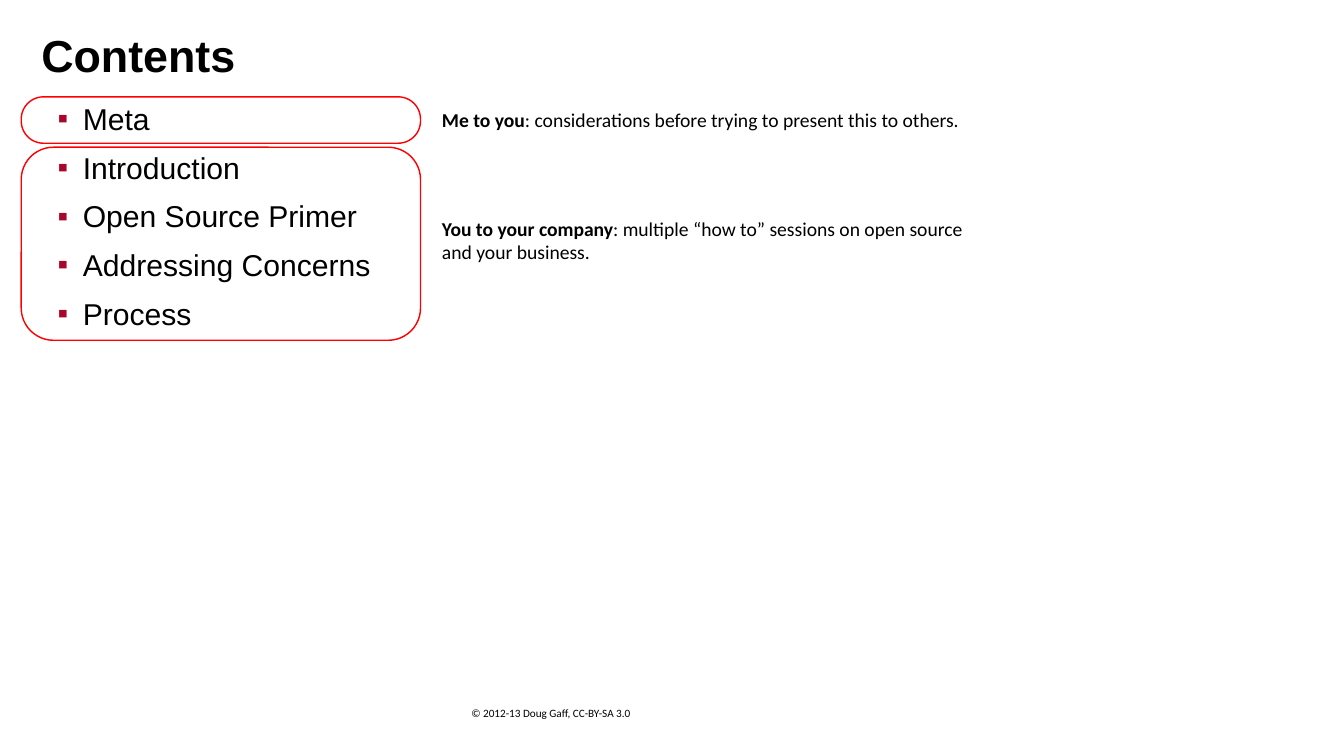
from typing import NamedTuple

from lxml.etree import SubElement
from pptx import Presentation
from pptx.dml.color import RGBColor
from pptx.enum.shapes import MSO_SHAPE as Kind
from pptx.enum.text import MSO_ANCHOR as Anchor, MSO_AUTO_SIZE as Fit, PP_ALIGN as Align
from pptx.oxml.ns import qn
from pptx.util import Cm, Pt

BLACK = RGBColor(0, 0, 0)
RED = RGBColor(0xFF, 0, 0)
WINE = RGBColor(0xAA, 0x06, 0x2B)

TOPICS = ["Meta", "Introduction", "Open Source Primer", "Addressing Concerns", "Process"]


class Box(NamedTuple):
    left: float
    top: float
    width: float
    height: float


class Group(NamedTuple):
    ring: Box
    bend: float
    note: Box
    lead: str
    rest: str


GROUPS = [
    Group(Box(1.07, 4.88, 20.12, 2.34), 0.48, Box(22.02, 5.31, 28.37, 2.64),
          "Me to you", ": considerations before trying to present this to others."),
    Group(Box(1.07, 7.42, 20.12, 9.73), 0.167, Box(22.02, 10.8, 28.37, 2.64),
          "You to your company",
          ": multiple “how to” sessions on open source and your business."),
]


def place(shape, box: Box) -> None:
    shape.left, shape.top, shape.width, shape.height = map(Cm, box)


def pad(frame, side: float, end: float) -> None:
    frame.margin_left = frame.margin_right = Cm(side)
    frame.margin_top = frame.margin_bottom = Cm(end)
    frame.word_wrap = True


def style(item, size: float, face: str, bold: bool = False) -> None:
    item.font.size = Pt(size)
    item.font.name = face
    item.font.bold = bold
    item.font.color.rgb = BLACK


def mark(para) -> None:
    props = para._p.get_or_add_pPr()
    props.set("marL", str(Cm(2.16)))
    props.set("indent", str(Cm(-1.27)))
    color = SubElement(props, qn("a:buClr"))
    SubElement(color, qn("a:srgbClr"), val=str(WINE))
    SubElement(props, qn("a:buChar"), char="▪")


def add_title(slide) -> None:
    title = slide.shapes.title
    place(title, Box(1.93, 0.46, 63.86, 4.6))
    frame = title.text_frame
    pad(frame, 0.15, 0.15)
    frame.auto_size = Fit.NONE
    frame.vertical_anchor = Anchor.MIDDLE
    frame.text = "Contents"
    para = frame.paragraphs[0]
    para.alignment = Align.LEFT
    style(para.runs[0], 64, "Arial", True)


def add_list(slide) -> None:
    body = slide.placeholders[1]
    place(body, Box(2.01, 5.05, 63.86, 33.05))
    frame = body.text_frame
    pad(frame, 0, 0)
    frame.auto_size = Fit.NONE
    frame.vertical_anchor = Anchor.TOP
    frame.text = "\n".join(TOPICS)
    for i, para in enumerate(frame.paragraphs):
        para.space_before = Pt(18 if i else 0)
        mark(para)
        style(para.runs[0], 43, "Arial")


def add_foot(slide) -> None:
    foot = slide.shapes.add_textbox(*map(Cm, Box(23.14, 35.31, 21.44, 2.03)))
    frame = foot.text_frame
    pad(frame, 0.61, 0.3)
    frame.text = "© 2012-13 Doug Gaff, CC-BY-SA 3.0"
    style(frame.paragraphs[0].runs[0], 16, "Calibri")


def add_ring(slide, group: Group) -> None:
    ring = slide.shapes.add_shape(Kind.ROUNDED_RECTANGLE, *map(Cm, group.ring))
    ring.adjustments[0] = group.bend
    ring.shadow.inherit = False
    ring.fill.background()
    ring.line.color.rgb = RED
    ring.line.width = Pt(2)


def add_note(slide, group: Group) -> None:
    note = slide.shapes.add_textbox(*map(Cm, group.note))
    frame = note.text_frame
    pad(frame, 0.25, 0.13)
    frame.auto_size = Fit.SHAPE_TO_FIT_TEXT
    for text, bold in ((group.lead, True), (group.rest, False)):
        run = frame.paragraphs[0].add_run()
        run.text = text
        style(run, 28, "Calibri", bold)


def main() -> None:
    deck = Presentation()
    deck.slide_width, deck.slide_height = Cm(67.72), Cm(38.1)
    slide = deck.slides.add_slide(deck.slide_layouts[1])
    add_title(slide)
    add_list(slide)
    add_foot(slide)
    for group in GROUPS:
        add_ring(slide, group)
        add_note(slide, group)
    deck.save("out.pptx")


if __name__ == "__main__":
    main()
